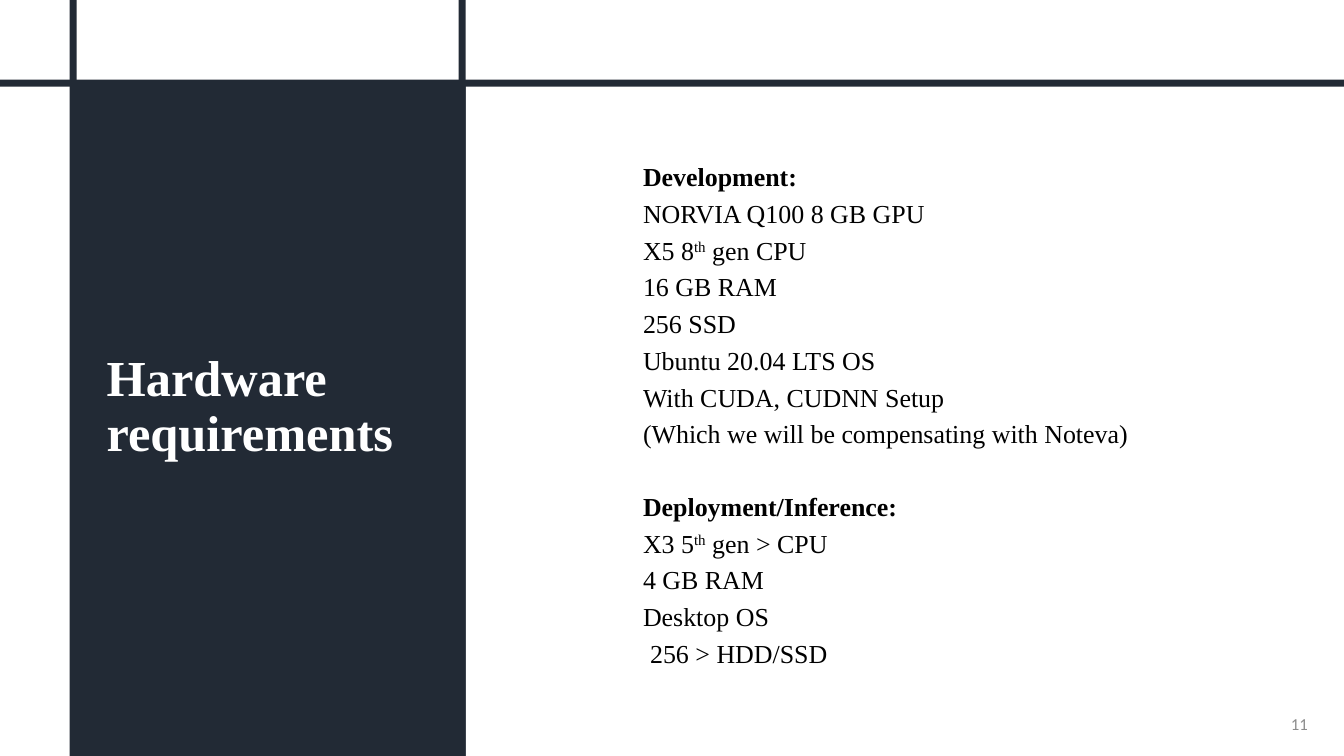
"""Build the hardware requirements slide."""
from pptx import Presentation
from pptx.dml.color import RGBColor
from pptx.enum.shapes import MSO_SHAPE
from pptx.enum.text import MSO_ANCHOR, PP_ALIGN
from pptx.util import Inches, Pt

NAVY = RGBColor(0x22, 0x2A, 0x35)
WHITE = RGBColor(0xFF, 0xFF, 0xFF)
BLACK = RGBColor(0x00, 0x00, 0x00)
GRAY = RGBColor(0x8C, 0x8C, 0x8C)
SERIF = "Times New Roman"
WIDE, HIGH, BAR = 13.33, 7.5, 0.07

deck = Presentation()
deck.slide_width, deck.slide_height = Inches(WIDE), Inches(HIGH)
slide = deck.slides.add_slide(deck.slide_layouts[6])


def write(par, text, size=18.5, font=SERIF, color=BLACK, bold=False,
          align=PP_ALIGN.LEFT, lines=1.0, before=0):
    """Fill a paragraph; text between ^ marks is raised."""
    par.alignment, par.line_spacing, par.space_before = align, lines, Pt(before)
    for i, part in enumerate(text.split("^")):
        run = par.add_run()
        run.text = part
        run.font.size, run.font.name, run.font.bold = Pt(size), font, bold
        run.font.color.rgb = color
        if i % 2:
            run.font._element.set("baseline", "30000")


def frame(left, top, width, height, anchor=MSO_ANCHOR.MIDDLE):
    """Add a wrapping text box and return its text frame."""
    box = slide.shapes.add_textbox(Inches(left), Inches(top), Inches(width), Inches(height))
    box.text_frame.word_wrap = True
    box.text_frame.vertical_anchor = anchor
    return box.text_frame


panel = (0.72, 0.85, 3.9, 6.65)
rules = [(0.69, 0, BAR, HIGH), (0, 0.79, WIDE, BAR), (4.55, 0, BAR, HIGH)]
for area in [panel] + rules:
    rect = slide.shapes.add_shape(MSO_SHAPE.RECTANGLE, *map(Inches, area))
    rect.shadow.inherit = False
    rect.fill.solid()
    rect.fill.fore_color.rgb = NAVY
    rect.line.fill.background()

title = frame(0.96, 1.79, 3.57, 4.51)
write(title.paragraphs[0], "Hardware requirements", size=36, color=WHITE, bold=True, lines=0.9)

needs = [
    "Development:",
    "NORVIA Q100 8 GB GPU",
    "X5 8^th^ gen CPU",
    "16 GB RAM",
    "256 SSD",
    "Ubuntu 20.04 LTS OS",
    "With CUDA, CUDNN Setup",
    "(Which we will be compensating with Noteva)",
    "Deployment/Inference:",
    "X3 5^th^ gen > CPU",
    "4 GB RAM",
    "Desktop OS",
    "256 > HDD/SSD",
]
body = frame(6.03, 1.63, 5.86, 5.14, anchor=MSO_ANCHOR.TOP)
for i, need in enumerate(needs):
    par = body.add_paragraph() if i else body.paragraphs[0]
    head = need.endswith(":")
    gap = 0 if i == 0 else 36.3 if head else 10.7
    write(par, need, bold=head, lines=0.7, before=gap)
    indent = 0.32 if need == needs[-1] else 0.25
    par._p.get_or_add_pPr().set("marL", str(Inches(indent)))

number = frame(10.07, 6.98, 3, 0.4)
write(number.paragraphs[0], "11", size=12, font="Calibri", color=GRAY, align=PP_ALIGN.RIGHT)

deck.save("out.pptx")
